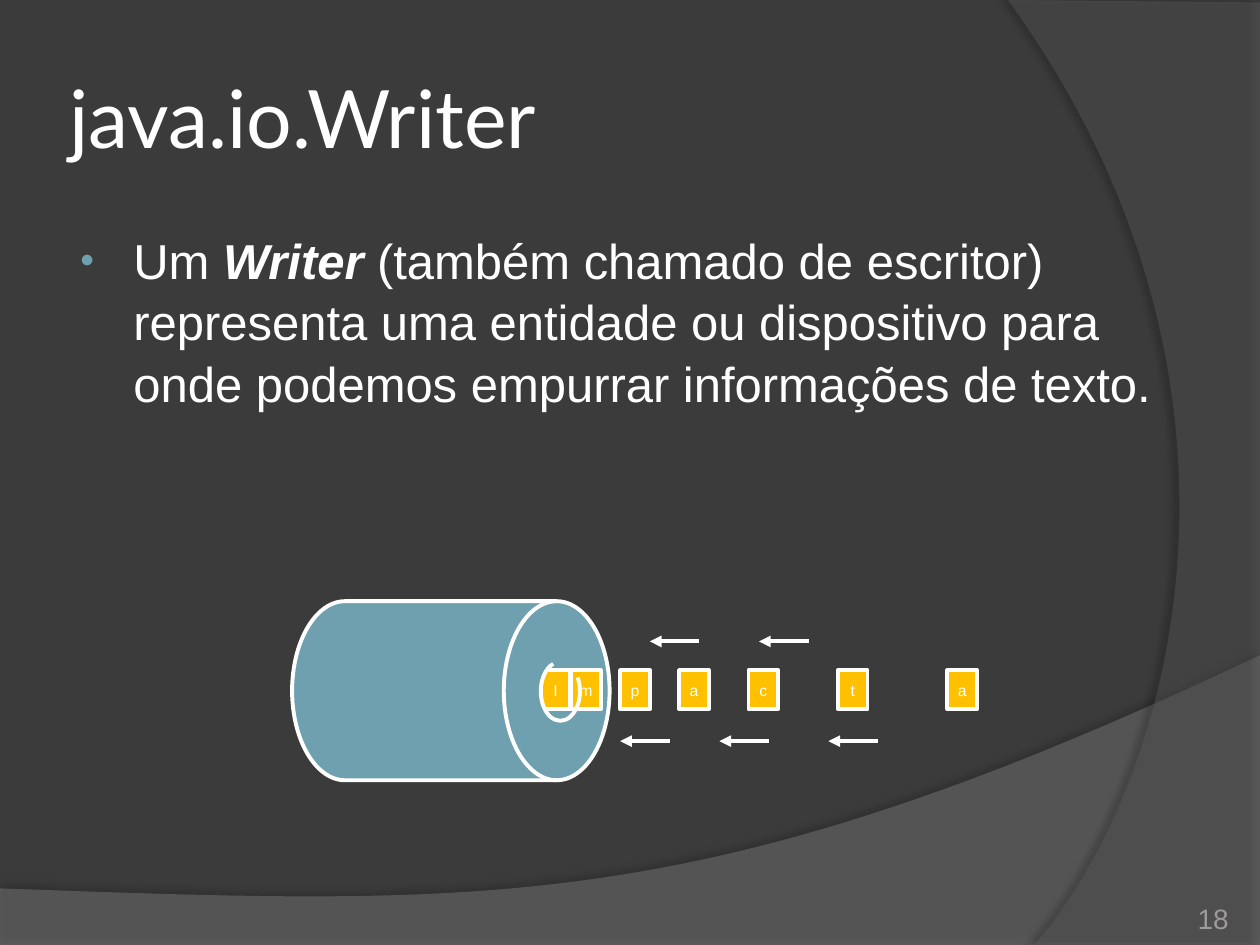
"""Builds the slide that explains java.io.Writer."""
from lxml import etree
from pptx import Presentation
from pptx import util as u
from pptx.dml.color import RGBColor
from pptx.enum import shapes, text
from pptx.oxml.ns import qn

WHITE, TEAL, AMBER = "FFFFFF", "6EA0B0", "FFC000"
MIDDLE, BOTTOM, TOP = text.MSO_ANCHOR.MIDDLE, text.MSO_ANCHOR.BOTTOM, text.MSO_ANCHOR.TOP
CENTER, LEFT, RIGHT = text.PP_ALIGN.CENTER, text.PP_ALIGN.LEFT, text.PP_ALIGN.RIGHT
DRUM = shapes.MSO_SHAPE.FLOWCHART_DIRECT_ACCESS_STORAGE


def color(value):
    """Return the colour for a hex string."""
    return RGBColor.from_string(value)


def add_child(parent, tag, **attributes):
    """Append an XML element with the given attributes."""
    child = etree.SubElement(parent, qn(tag))
    for name, value in attributes.items():
        child.set(name, str(value))
    return child


def style(shape, fill=None, line=None):
    """Set the fill and outline of a shape and drop its shadow."""
    shape.shadow.inherit = False
    if fill:
        shape.fill.solid()
        shape.fill.fore_color.rgb = color(fill)
    else:
        shape.fill.background()
    if line:
        shape.line.color.rgb = color(line)
        shape.line.width = u.Pt(2.25)
    else:
        shape.line.fill.background()


def set_font(paragraph, size, fill=WHITE, name="Arial"):
    """Set the font that all runs of a paragraph share."""
    paragraph.font.name = name
    paragraph.font.size = u.Pt(size)
    paragraph.font.color.rgb = color(fill)


def set_frame(frame, anchor, horizontal, vertical=0.13):
    """Set wrapping, anchor and insets of a text frame."""
    frame.word_wrap = True
    frame.vertical_anchor = anchor
    frame.margin_left = frame.margin_right = u.Cm(horizontal)
    frame.margin_top = frame.margin_bottom = u.Cm(vertical)


def add_text(slide, box, anchor, horizontal, vertical=0.13):
    """Add a text box and return its first paragraph."""
    frame = slide.shapes.add_textbox(*map(u.Cm, box)).text_frame
    set_frame(frame, anchor, horizontal, vertical)
    return frame.paragraphs[0]


def add_label(slide, words, box, anchor, inset, align, **font):
    """Add a text box with a single plain line."""
    paragraph = add_text(slide, box, anchor, *inset)
    paragraph.text = words
    paragraph.alignment = align
    set_font(paragraph, **font)


def add_bullet(slide, box, runs):
    """Add a bulleted paragraph from (words, emphasised) pairs."""
    paragraph = add_text(slide, box, TOP, 0.25)
    paragraph.line_spacing = 1.05
    properties = paragraph._p.get_or_add_pPr()
    properties.set("marL", str(u.Cm(1.17)))
    properties.set("indent", str(u.Cm(-1.07)))
    add_child(add_child(properties, "a:buClr"), "a:srgbClr", val=TEAL)
    add_child(properties, "a:buSzPct", val=80000)
    add_child(properties, "a:buFont", typeface="Arial")
    add_child(properties, "a:buChar", char="•")
    set_font(paragraph, 28)
    for words, emphasised in runs:
        run = paragraph.add_run()
        run.text = words
        if emphasised:
            run.font.bold = run.font.italic = True


def curve(start, first, second, end, steps=60):
    """Return points along a cubic curve."""
    return [
        tuple((1 - t) ** 3 * a + 3 * (1 - t) ** 2 * t * b + 3 * (1 - t) * t ** 2 * c + t ** 3 * d
              for a, b, c, d in zip(start, first, second, end))
        for t in (step / steps for step in range(steps + 1))
    ]


def add_swoosh(slide, points, fill, opacity, shadow_opacity, distance, direction):
    """Add a translucent background outline with a soft shadow."""
    points = [(u.Cm(x), u.Cm(y)) for x, y in points]
    builder = slide.shapes.build_freeform(*points[0])
    builder.add_line_segments(points[1:], close=True)
    shape = builder.convert_to_shape()
    style(shape, fill)
    properties = shape._element.spPr
    solid = properties.find(qn("a:solidFill"))
    add_child(solid[0], "a:alpha", val=opacity * 1000)
    shadow = add_child(properties.find(qn("a:effectLst")), "a:outerShdw", blurRad=u.Pt(4),
                       dist=u.Pt(distance), dir=direction * 60000, algn="ctr", rotWithShape=0)
    black = add_child(shadow, "a:srgbClr", val="000000")
    add_child(black, "a:alpha", val=shadow_opacity * 1000)


def add_preset(slide, kind, box, fill=None, line=None, rotation=0):
    """Add a styled preset shape."""
    shape = slide.shapes.add_shape(kind, *map(u.Cm, box))
    style(shape, fill, line)
    shape.rotation = rotation
    return shape


def add_letter(slide, letter, left):
    """Add one character tile of the stream."""
    shape = add_preset(slide, shapes.MSO_SHAPE.RECTANGLE, (left, 13.51, 0.6, 0.79), AMBER, WHITE)
    set_frame(shape.text_frame, MIDDLE, 0)
    paragraph = shape.text_frame.paragraphs[0]
    paragraph.text = letter
    paragraph.alignment = CENTER
    set_font(paragraph, 9)


def add_arrow(slide, tip, y):
    """Add a short arrow that points left."""
    connector = slide.shapes.add_connector(
        shapes.MSO_CONNECTOR.STRAIGHT, *map(u.Cm, (tip + 1, y, tip, y)))
    connector.line.color.rgb = color(WHITE)
    connector.line.width = u.Pt(2.25)
    add_child(connector.line._get_or_add_ln(), "a:tailEnd", type="triangle")
    add_child(connector._element.spPr, "a:effectLst")


def add_background(slide):
    """Paint the background and its two swooshes."""
    slide.background.fill.solid()
    slide.background.fill.fore_color.rgb = color("3B3B3B")
    wave = curve((25.4, 13.21), (14.2, 18.52), (9.93, 18.26), (0, 17.91))
    add_swoosh(slide, [(0, 19.05), (25.4, 19.05)] + wave, "7F7F7F", 45, 35, 3.5, 270)
    side = curve((20.85, 19.05), (23.75, 15.72), (25.86, 7.62), (20.32, 0))
    add_swoosh(slide, [(25.4, 0.05), (25.4, 19.05)] + side, "5E5E5E", 40, 45, 4, 180)


def add_stream(slide):
    """Draw the drum with the characters pushed into it."""
    for letter, left in zip("pacta", (12.5, 13.69, 15.09, 16.89, 19.1)):
        add_letter(slide, letter, left)
    add_preset(slide, DRUM, (5.89, 12.12, 6.4, 3.61), TEAL, WHITE)
    for letter, left in zip("Im", (10.9, 11.51)):
        add_letter(slide, letter, left)
    add_preset(slide, shapes.MSO_SHAPE.BLOCK_ARC, (10.31, 13.13, 2.01, 1.6), TEAL, rotation=270)
    rim = add_preset(slide, shapes.MSO_SHAPE.ARC, (10.9, 13.34, 0.79, 1.19), line=WHITE, rotation=180)
    for index, degrees in enumerate((141.42, 75.39)):
        rim.adjustments[index] = degrees * 0.6
    for y, tips in ((12.93, (13.1, 15.3)), (14.94, (12.5, 14.5, 16.7))):
        for tip in tips:
            add_arrow(slide, tip, y)


def main():
    """Build and save the slide."""
    presentation = Presentation()
    presentation.slide_width, presentation.slide_height = u.Cm(25.4), u.Cm(19.05)
    slide = presentation.slides.add_slide(presentation.slide_layouts[6])
    add_background(slide)
    add_label(slide, "java.io.Writer", (1.27, 0.76, 20.75, 3.18), MIDDLE, (0.13,), LEFT,
              size=46, name="Lato")
    add_bullet(slide, (1.27, 4.45, 22.83, 5.08), [
        ("Um ", False),
        ("Writer", True),
        (" (também chamado de escritor) representa uma entidade ou dispositivo "
         "para onde podemos empurrar informações de texto.", False),
    ])
    add_label(slide, "18", (22.66, 17.83, 2.11, 1.02), BOTTOM, (0, 0), RIGHT,
              size=16, fill="9D9B9A")
    add_stream(slide)
    presentation.save("out.pptx")


if __name__ == "__main__":
    main()
